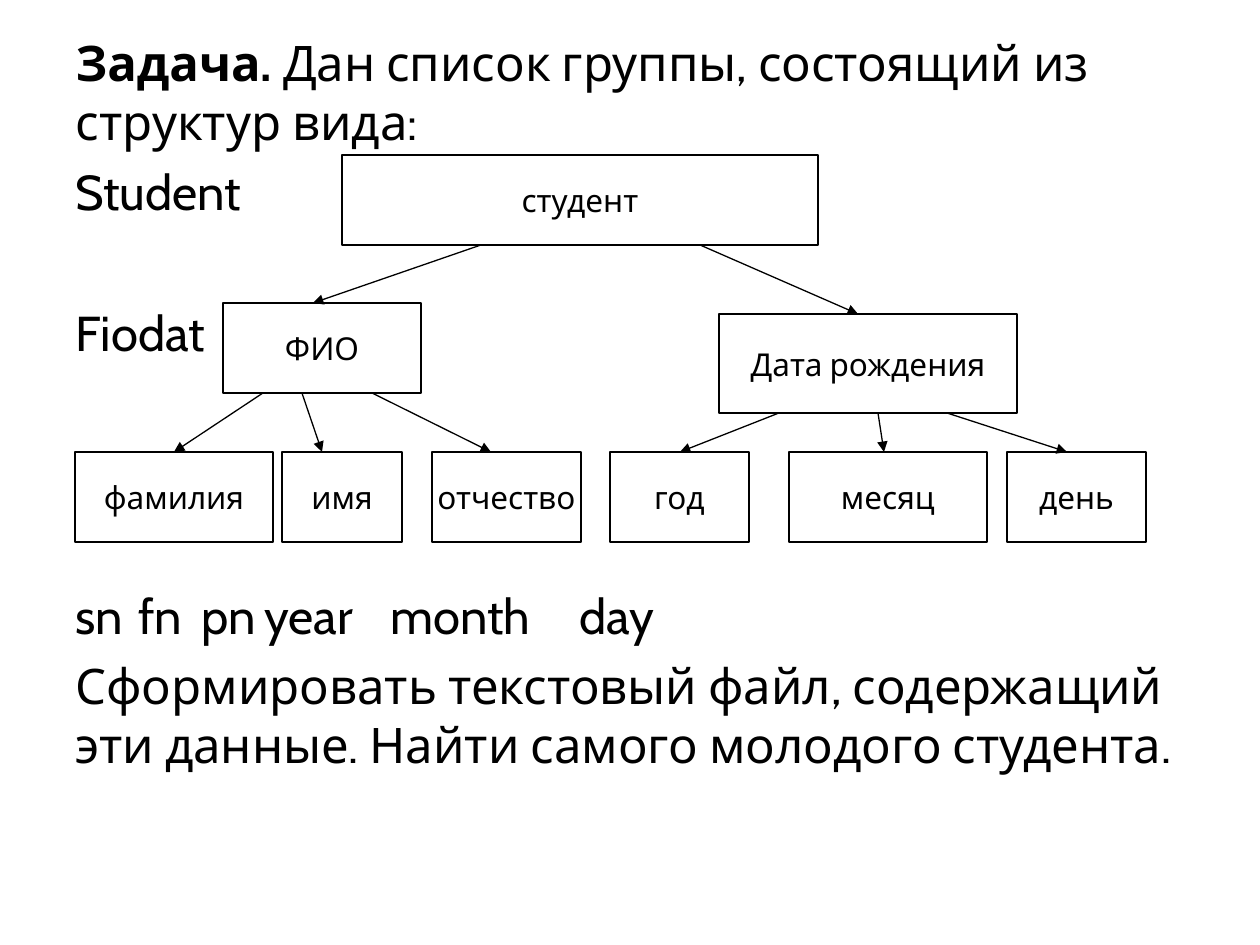
from lxml.etree import SubElement
from pptx import Presentation
from pptx.dml.color import RGBColor
from pptx.enum.shapes import MSO_CONNECTOR, MSO_SHAPE
from pptx.enum.text import MSO_ANCHOR, MSO_AUTO_SIZE, PP_ALIGN
from pptx.oxml.ns import qn
from pptx.util import Pt

COLORS = {"ink": "000000", "paper": "FFFFFF"}
FONT = "Cabin"
PX_PER_INCH = 126


def px(length):
    return round(length * 914400 / PX_PER_INCH)


def add_run(paragraph, text, size, bold=False):
    run = paragraph.add_run()
    run.text = text
    run.font.name = FONT
    run.font.size = Pt(size)
    run.font.bold = bold
    run.font.color.rgb = RGBColor.from_string(COLORS["ink"])


presentation = Presentation()
presentation.slide_width = px(1260)
presentation.slide_height = px(945)
slide = presentation.slides.add_slide(presentation.slide_layouts[1])
title = slide.shapes.title
title.element.getparent().remove(title.element)

# Task text with the field names: space before (pt), tab stops (px), runs (text, bold)
task_paragraphs = [
    (0, [], [("Задача. ", True), ("Дан список группы, состоящий из структур вида:", False)]),
    (6.5, [], [("Student", False)]),
    (47, [504], [("Fio\tdat", False)]),
    (128, [252, 378, 525, 638, 855], [("sn\tfn\tpn\tyear\tmonth\tday", False)]),
    (6.5, [], [("Сформировать текстовый файл, содержащий эти данные. "
                "Найти самого молодого студента.", False)]),
]
body = slide.placeholders[1]
body.left, body.top, body.width, body.height = px(63), px(26), px(1134), px(818)
body_frame = body.text_frame
body_frame.word_wrap = True
body_frame.auto_size = MSO_AUTO_SIZE.NONE
body_frame.vertical_anchor = MSO_ANCHOR.TOP
for index, (space_before, tab_stops, runs) in enumerate(task_paragraphs):
    paragraph = body_frame.add_paragraph() if index else body_frame.paragraphs[0]
    paragraph.space_before = Pt(space_before)
    paragraph.space_after = Pt(0)
    properties = paragraph._p.get_or_add_pPr()
    properties.set("marL", "0")
    properties.set("indent", "0")
    SubElement(properties, qn("a:buNone"))
    if tab_stops:
        tab_list = SubElement(properties, qn("a:tabLst"))
        for stop in tab_stops:
            SubElement(tab_list, qn("a:tab"), pos=str(px(stop)), algn="l")
    for text, bold in runs:
        add_run(paragraph, text, 28, bold)

# Structure tree: text, left, top, width, height
LEAF_TOP, BOX_HEIGHT = 452, 90
boxes = [
    ("студент", 342, 155, 476, BOX_HEIGHT),
    ("ФИО", 223, 303, 198, BOX_HEIGHT),
    ("Дата рождения", 719, 314, 298, 99),
]
leaves = [("фамилия", 75, 198), ("имя", 282, 120), ("отчество", 432, 149),
          ("год", 610, 139), ("месяц", 789, 198), ("день", 1007, 139)]
boxes += [(text, left, LEAF_TOP, width, BOX_HEIGHT) for text, left, width in leaves]

for text, left, top, width, height in boxes:
    box = slide.shapes.add_shape(MSO_SHAPE.RECTANGLE, px(left), px(top), px(width), px(height))
    box.shadow.inherit = False
    box.fill.solid()
    box.fill.fore_color.rgb = RGBColor.from_string(COLORS["paper"])
    box.line.color.rgb = RGBColor.from_string(COLORS["ink"])
    box.line.width = Pt(0.75)
    box.text_frame.word_wrap = False
    box.text_frame.vertical_anchor = MSO_ANCHOR.MIDDLE
    paragraph = box.text_frame.paragraphs[0]
    paragraph.alignment = PP_ALIGN.CENTER
    add_run(paragraph, text, 18)

# Arrows from parent to child: start x, start y, end x, end y
arrows = [(481, 245, 313, 303), (700, 245, 858, 314)]
arrows += [(start, 393, end, LEAF_TOP) for start, end in [(263, 174), (302, 322), (372, 491)]]
arrows += [(start, 413, end, LEAF_TOP) for start, end in [(779, 680), (878, 884), (947, 1067)]]

for start_x, start_y, end_x, end_y in arrows:
    arrow = slide.shapes.add_connector(
        MSO_CONNECTOR.STRAIGHT, px(start_x), px(start_y), px(end_x), px(end_y))
    arrow.line.color.rgb = RGBColor.from_string(COLORS["ink"])
    arrow.line.width = Pt(0.75)
    SubElement(arrow.line._get_or_add_ln(), qn("a:tailEnd"), type="triangle")
    SubElement(arrow._element.spPr, qn("a:effectLst"))

presentation.save("out.pptx")
